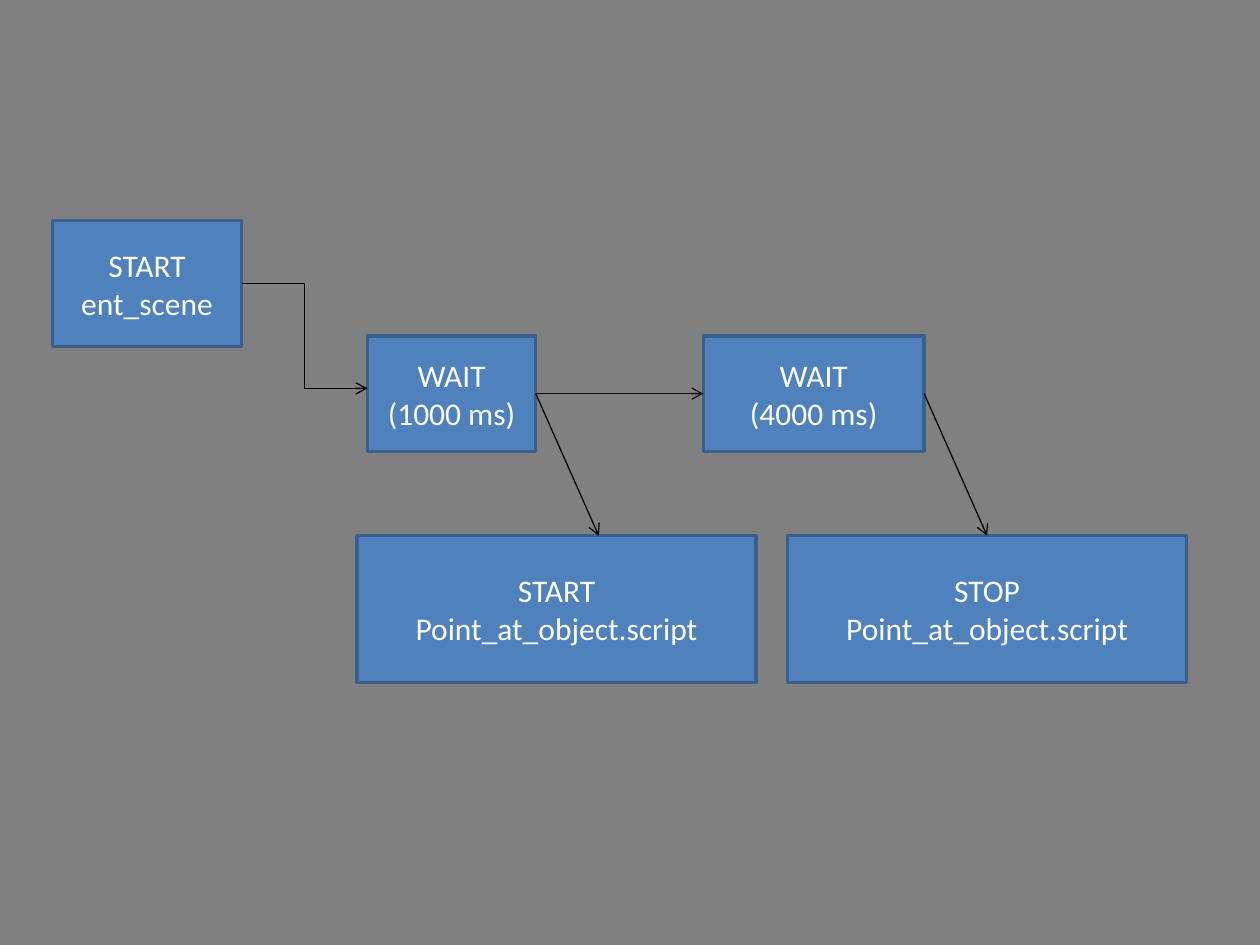
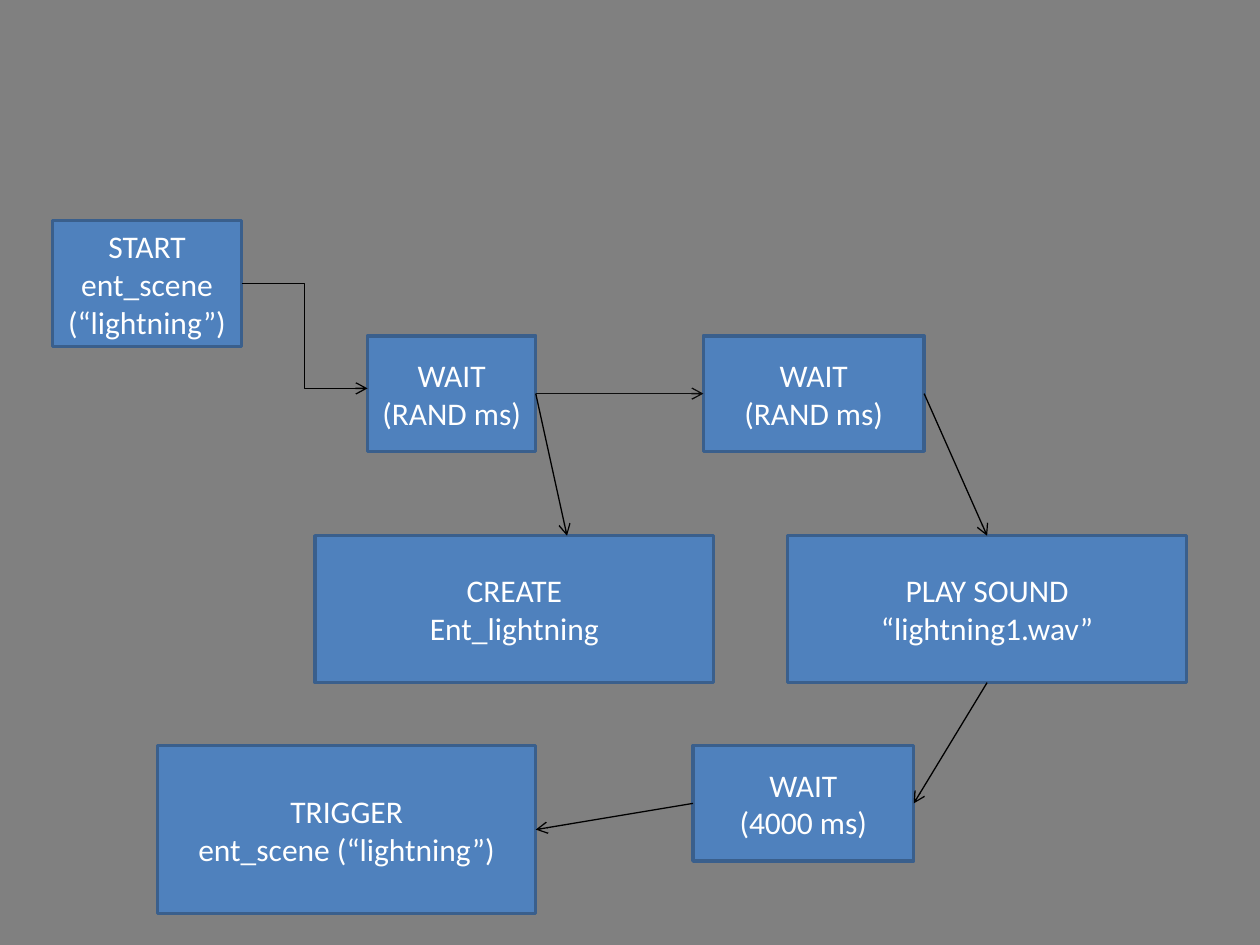
"""Two flow charts of timed scene events."""
from dataclasses import dataclass

import pptx
import pptx.dml.color
import pptx.enum.shapes
import pptx.enum.text
import pptx.oxml
import pptx.oxml.ns
import pptx.presentation
import pptx.slide
import pptx.util

Cm = pptx.util.Cm
Pt = pptx.util.Pt
RGBColor = pptx.dml.color.RGBColor
Link = pptx.enum.shapes.MSO_CONNECTOR

GREY = RGBColor(0x80, 0x80, 0x80)
BLUE = RGBColor(0x4F, 0x81, 0xBD)
EDGE = RGBColor(0x3A, 0x5F, 0x8C)
WHITE = RGBColor(0xFF, 0xFF, 0xFF)
BLACK = RGBColor(0x00, 0x00, 0x00)
SOFT = RGBColor(0x0D, 0x0D, 0x0D)
FONT = "Calibri"

Point = tuple[float, float]


@dataclass(frozen=True)
class Box:
    """A step of the flow, in centimetres."""
    left: float
    top: float
    width: float
    height: float

    def at(self, across: float, down: float) -> Point:
        """Return the point at these shares of width and height."""
        return self.left + across * self.width, self.top + down * self.height


ROW_TOP = 10.8
START = Box(1.06, 4.45, 3.81, 2.54)
WAIT = Box(7.41, 6.77, 3.39, 2.33)
NEXT = Box(14.18, 6.77, 4.45, 2.33)
LAST = Box(15.88, ROW_TOP, 8.04, 2.96)
PAUSE = Box(13.97, 15.03, 4.45, 2.33)
LOOP = Box(3.18, 15.03, 7.62, 3.39)


def draw_box(slide: pptx.slide.Slide, box: Box, *lines: str) -> None:
    """Draw a step with one centred paragraph for each line."""
    shape = slide.shapes.add_shape(
        pptx.enum.shapes.MSO_SHAPE.RECTANGLE,
        Cm(box.left), Cm(box.top), Cm(box.width), Cm(box.height))
    shape.shadow.inherit = False
    shape.fill.solid()
    shape.fill.fore_color.rgb = BLUE
    shape.line.color.rgb = EDGE
    shape.line.width = Pt(2)
    frame = shape.text_frame
    frame.word_wrap = True
    frame.vertical_anchor = pptx.enum.text.MSO_ANCHOR.MIDDLE
    frame.text = "\n".join(lines)
    for para in frame.paragraphs:
        para.alignment = pptx.enum.text.PP_ALIGN.CENTER
        para.font.name = FONT
        para.font.size = Pt(18)
        para.font.color.rgb = WHITE


def draw_arrow(slide: pptx.slide.Slide, start: Point, end: Point,
               color: RGBColor = BLACK, kind: Link = Link.STRAIGHT) -> None:
    """Draw a thin line with an open head at its end."""
    line = slide.shapes.add_connector(
        kind, *(Cm(value) for value in (*start, *end)))
    line.line.color.rgb = color
    line.line.width = Pt(0.75)
    tail = pptx.oxml.parse_xml(
        f'<a:tailEnd {pptx.oxml.ns.nsdecls("a")} type="arrow"/>')
    line.line._get_or_add_ln().append(tail)
    plain = pptx.oxml.parse_xml(
        f'<a:effectLst {pptx.oxml.ns.nsdecls("a")}/>')
    line._element.spPr.append(plain)


def draw_flow(deck: pptx.presentation.Presentation, start: list[str],
              waits: list[str], acts: list[list[str]],
              left: float, land: float) -> pptx.slide.Slide:
    """Add a slide with the shared flow; the first act starts at left
    and its arrow lands at land."""
    slide = deck.slides.add_slide(deck.slide_layouts[6])
    first = Box(left, ROW_TOP, LAST.width, LAST.height)
    draw_box(slide, START, *start)
    for box, time in zip((WAIT, NEXT), waits):
        draw_box(slide, box, "WAIT", time)
    for box, act in zip((first, LAST), acts):
        draw_box(slide, box, *act)
    draw_arrow(slide, START.at(1, 0.5), (WAIT.left, 7.83), kind=Link.ELBOW)
    draw_arrow(slide, WAIT.at(1, 0.5), (land, ROW_TOP))
    draw_arrow(slide, WAIT.at(1, 0.5), NEXT.at(0, 0.5), SOFT)
    draw_arrow(slide, NEXT.at(1, 0.5), LAST.at(0.5, 0))
    return slide


def main() -> None:
    """Build and save the deck."""
    deck = pptx.Presentation()
    deck.slide_width, deck.slide_height = Cm(25.4), Cm(19.05)
    back = deck.slide_master.background.fill
    back.solid()
    back.fore_color.rgb = GREY

    script = "Point_at_object.script"
    draw_flow(deck, ["START ent_scene"], ["(1000 ms)", "(4000 ms)"],
              [["START", script], ["STOP", script]], left=7.2, land=12.07)

    slide = draw_flow(
        deck, ["START", "ent_scene", "(“lightning”)"], ["(RAND ms)"] * 2,
        [["CREATE", "Ent_lightning"], ["PLAY SOUND", "“lightning1.wav”"]],
        left=6.35, land=11.43)
    draw_box(slide, PAUSE, "WAIT", "(4000 ms)")
    draw_box(slide, LOOP, "TRIGGER", "ent_scene (“lightning”)")
    draw_arrow(slide, LAST.at(0.5, 1), PAUSE.at(1, 0.5))
    draw_arrow(slide, PAUSE.at(0, 0.5), LOOP.at(1, 0.5))

    deck.save("out.pptx")


main()
